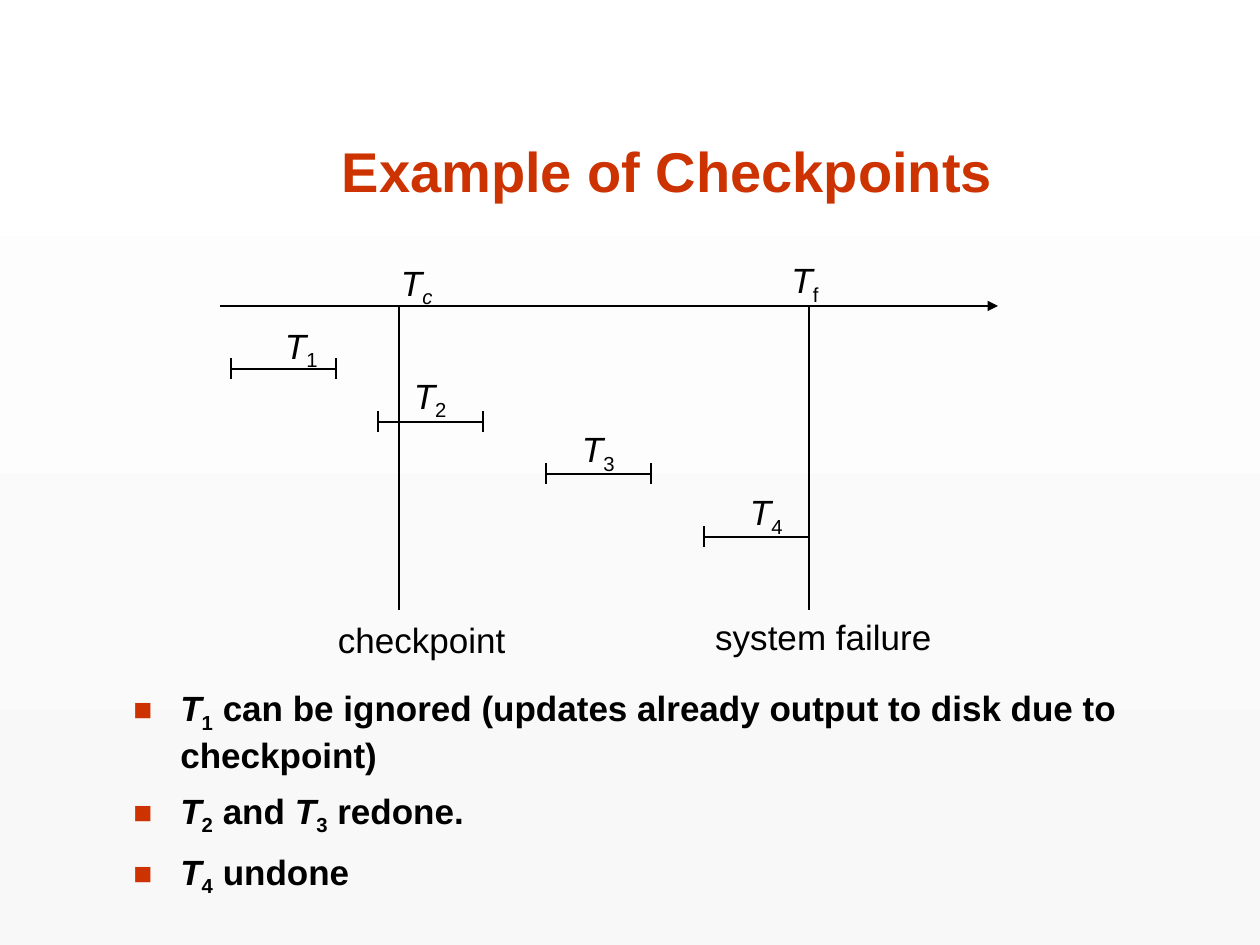
from lxml import etree
from pptx import Presentation
from pptx.dml.color import RGBColor
from pptx.enum.shapes import MSO_CONNECTOR
from pptx.enum.text import MSO_ANCHOR, MSO_AUTO_SIZE, PP_ALIGN
from pptx.oxml.ns import qn
from pptx.util import Pt

STRAIGHT = MSO_CONNECTOR.STRAIGHT
BOTTOM = MSO_ANCHOR.BOTTOM
TOP = MSO_ANCHOR.TOP
CENTER, LEFT, RIGHT = PP_ALIGN.CENTER, PP_ALIGN.LEFT, PP_ALIGN.RIGHT
FIT_SHAPE, FIT_NONE = MSO_AUTO_SIZE.SHAPE_TO_FIT_TEXT, MSO_AUTO_SIZE.NONE

BLACK = RGBColor(0x00, 0x00, 0x00)
WHITE = RGBColor(0xFF, 0xFF, 0xFF)
PALE_GRAY = RGBColor(0xF8, 0xF8, 0xF8)
RUST = RGBColor(0xCC, 0x33, 0x00)
FONT = "Arial"
PX = 914400 / 126

# Text is a list of (words, style) runs: "i" is italic, "_" is subscript.
TITLE = [("Example of Checkpoints", "")]
TITLE_PLACE = (105, 105, 1125, 105)

AXIS_LEFT, AXIS_RIGHT, AXIS_Y = 220, 998, 306
EVENT_BOTTOM = 610
EVENT_XS = (399, 809)
INTERVAL_WIDTH, TICK_HEIGHT = 105, 21
INTERVALS = [(231, 369), (378, 422), (546, 474), (704, 537)]  # left, y

LABELS = [
    ([("T", "i"), ("c", "i_")], (387, 255, 58, 54)),
    ([("T", "i"), ("f", "_")], (778, 252, 53, 54)),
    ([("T", "i"), ("1", "_")], (271, 318, 59, 54)),
    ([("T", "i"), ("2", "_")], (400, 368, 59, 54)),
    ([("T", "i"), ("3", "_")], (568, 421, 59, 54)),
    ([("T", "i"), ("4", "_")], (736, 484, 59, 54)),
    ([("checkpoint", "")], (318, 612, 200, 54)),
    ([("system failure", "")], (692, 609, 252, 54)),
]

BULLETS_PLACE = (121, 680, 1097, 220)
BULLET_INDENT = 47
BULLETS = [
    [("T", "i"), ("1", "_"),
     (" can be ignored (updates already output to disk due to checkpoint)", "")],
    [("T", "i"), ("2", "_"), (" and ", ""), ("T", "i"), ("3", "_"), (" redone.", "")],
    [("T", "i"), ("4", "_"), (" undone", "")],
]


def emu(px):
    return round(px * PX)


def place(shape, left, top, width, height):
    shape.left, shape.top = emu(left), emu(top)
    shape.width, shape.height = emu(width), emu(height)


def add_bullet(para):
    properties = para._p.get_or_add_pPr()
    properties.set("marL", str(emu(BULLET_INDENT)))
    properties.set("indent", str(-emu(BULLET_INDENT)))
    color = etree.SubElement(properties, qn("a:buClr"))
    etree.SubElement(color, qn("a:srgbClr"), val=str(RUST))
    etree.SubElement(properties, qn("a:buSzPct"), val="90000")
    etree.SubElement(properties, qn("a:buFont"), typeface=FONT)
    etree.SubElement(properties, qn("a:buChar"), char="■")


def write(frame, paragraphs, size=20, color=BLACK, bold=False, align=LEFT,
          anchor=TOP, wrap=True, fit=FIT_NONE, bullets=False, gap=0):
    frame.word_wrap = wrap
    frame.auto_size = fit
    frame.vertical_anchor = anchor
    for index, runs in enumerate(paragraphs):
        para = frame.add_paragraph() if index else frame.paragraphs[0]
        para.alignment = align
        if index:
            para.space_before = Pt(gap)
        if bullets:
            add_bullet(para)
        for words, style in runs:
            span = para.add_run()
            span.text = words
            font = span.font
            font.name, font.size, font.bold = FONT, Pt(size), bold
            font.italic = "i" in style
            font.color.rgb = color
            if "_" in style:
                span._r.get_or_add_rPr().set("baseline", "-25000")


def add_text(slide, position, paragraphs, **style):
    box = slide.shapes.add_textbox(0, 0, 0, 0)
    write(box.text_frame, paragraphs, **style)
    place(box, *position)


def add_line(slide, x1, y1, x2, y2, arrow=False):
    line = slide.shapes.add_connector(STRAIGHT, emu(x1), emu(y1), emu(x2), emu(y2))
    line.line.color.rgb = BLACK
    line.line.width = Pt(0.75)
    if arrow:
        etree.SubElement(line.line._get_or_add_ln(), qn("a:tailEnd"), type="triangle")
    etree.SubElement(line._element.spPr, qn("a:effectLst"))


def add_interval(slide, left, y):
    right = left + INTERVAL_WIDTH
    add_line(slide, left, y, right, y)
    for x in (left, right):
        add_line(slide, x, y - TICK_HEIGHT / 2, x, y + TICK_HEIGHT / 2)


def main():
    deck = Presentation()
    deck.slide_width, deck.slide_height = emu(1260), emu(945)
    slide = deck.slides.add_slide(deck.slide_layouts[5])

    background = slide.background.fill
    background.gradient()
    background.gradient_angle = 270
    for stop, color in zip(background.gradient_stops, (WHITE, PALE_GRAY)):
        stop.color.rgb = color

    title = slide.shapes.title
    place(title, *TITLE_PLACE)
    write(title.text_frame, [TITLE], size=32, color=RUST, bold=True,
          align=CENTER, anchor=BOTTOM)

    add_text(slide, BULLETS_PLACE, BULLETS, bold=True, bullets=True, gap=7.5)

    add_line(slide, AXIS_LEFT, AXIS_Y, AXIS_RIGHT, AXIS_Y, arrow=True)
    for x in EVENT_XS:
        add_line(slide, x, AXIS_Y, x, EVENT_BOTTOM)
    for left, y in INTERVALS:
        add_interval(slide, left, y)
    for runs, position in LABELS:
        add_text(slide, position, [runs], align=RIGHT, wrap=False, fit=FIT_SHAPE)

    deck.save("out.pptx")


if __name__ == "__main__":
    main()
